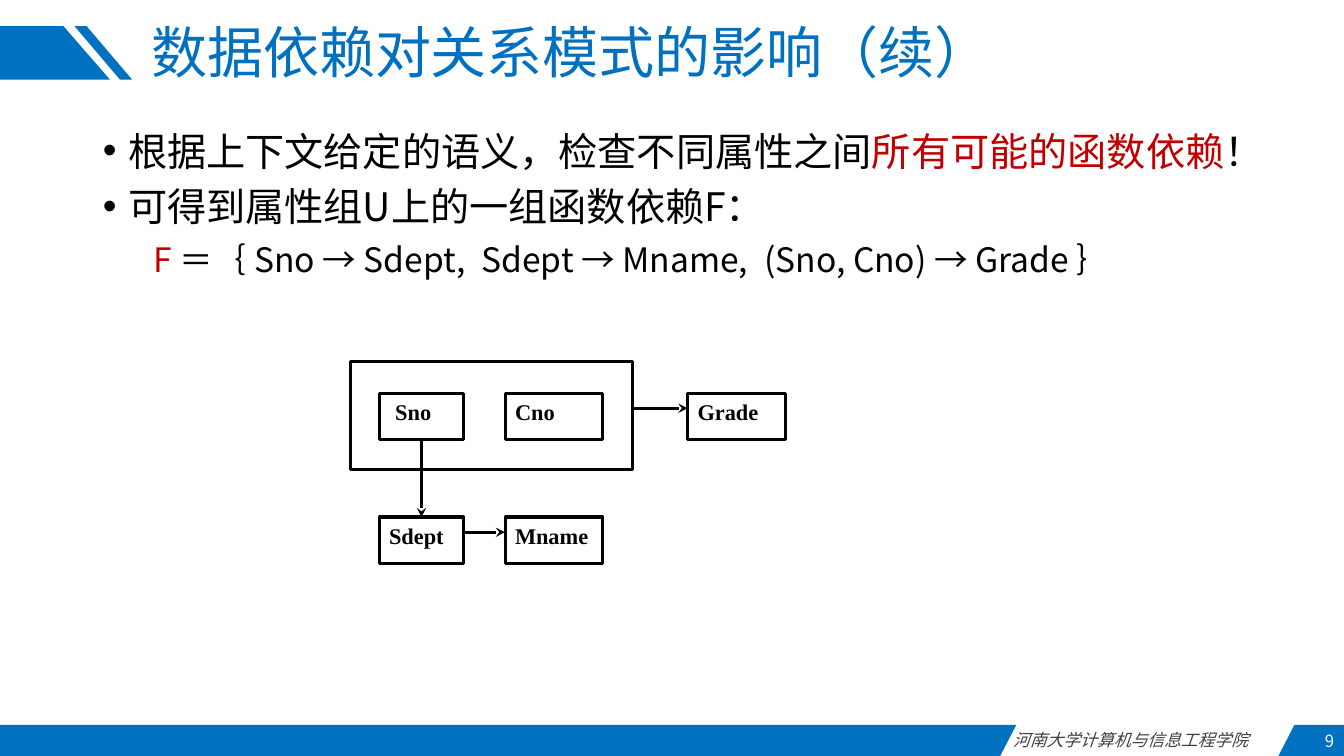
from dataclasses import dataclass
from typing import Any, NamedTuple

from lxml import etree
from pptx import Presentation
from pptx import util as u
from pptx.dml.color import RGBColor
from pptx.enum import shapes, text
from pptx.oxml.ns import qn

# Slide size, colours and fonts
WIDTH, HEIGHT = u.Inches(13.33), u.Inches(7.5)
COLOURS = {"blue": "0070C0", "red": "C00000", "black": "000000",
           "grey": "404040", "white": "FFFFFF"}
SANS, SERIF = "Noto Sans CJK SC", "Times New Roman"
LINE_WIDTH = u.Pt(2.25)


class Area(NamedTuple):
    """A rectangle in percent of the slide's width and height."""
    left: float
    top: float
    width: float
    height: float


class Piece(NamedTuple):
    words: str
    colour: str = "black"
    spacing: int = 0  # extra letter spacing in hundredths of a point


@dataclass
class Line:
    pieces: list[Piece]
    size: int
    margin: float
    indent: float
    bullet: str = ""
    level: int = 0


@dataclass
class Attribute:
    name: str
    area: Area
    inset: float = 0.1


def across(share: float) -> int:
    return round(WIDTH * share / 100)


def down(share: float) -> int:
    return round(HEIGHT * share / 100)


def colour_of(name: str) -> RGBColor:
    return RGBColor.from_string(COLOURS[name])


def apply(target: Any, values: dict[str, Any]) -> None:
    for name, value in values.items():
        setattr(target, name, value)


def place(shape: Any, area: Area) -> None:
    apply(shape, {"left": across(area.left), "top": down(area.top),
                  "width": across(area.width), "height": down(area.height)})


def add_run(paragraph: Any, piece: Piece, size: int, font: str = SANS, **style: bool) -> None:
    run = paragraph.add_run()
    run.text = piece.words
    apply(run.font, {"size": u.Pt(size), "name": font, **style})
    run.font.color.rgb = colour_of(piece.colour)
    properties = run.font._element
    etree.SubElement(properties, qn("a:ea")).set("typeface", font)
    if piece.spacing:
        properties.set("spc", str(piece.spacing))


def add_band(slide: Any, corners: list[tuple[float, float]]) -> None:
    points = [(across(x), down(y)) for x, y in corners]
    builder = slide.shapes.build_freeform(*points[0], scale=1.0)
    builder.add_line_segments(points[1:], close=True)
    band = builder.convert_to_shape()
    band.shadow.inherit = False
    band.fill.solid()
    band.fill.fore_color.rgb = colour_of("blue")
    band.line.fill.background()


def add_label(slide: Any, area: Area, piece: Piece, frame_format: dict[str, Any],
              alignment: Any, **style: bool) -> None:
    box = slide.shapes.add_textbox(0, 0, 0, 0)
    place(box, area)
    apply(box.text_frame, {"word_wrap": True, **frame_format})
    paragraph = box.text_frame.paragraphs[0]
    paragraph.alignment = alignment
    add_run(paragraph, piece, 12, **style)


def add_rectangle(slide: Any, area: Area) -> Any:
    shape = slide.shapes.add_shape(shapes.MSO_SHAPE.RECTANGLE, 0, 0, 0, 0)
    place(shape, area)
    shape.shadow.inherit = False
    shape.fill.background()
    shape.line.color.rgb = colour_of("black")
    shape.line.width = LINE_WIDTH
    return shape


def add_attribute(slide: Any, attribute: Attribute) -> Any:
    shape = add_rectangle(slide, attribute.area)
    apply(shape.text_frame, {"word_wrap": True, "vertical_anchor": text.MSO_ANCHOR.TOP,
                             "margin_left": u.Inches(attribute.inset)})
    paragraph = shape.text_frame.paragraphs[0]
    paragraph.alignment = text.PP_ALIGN.JUSTIFY
    add_run(paragraph, Piece(attribute.name), 16, SERIF, bold=True)
    return shape


def add_arrow(slide: Any, start: tuple[float, float], end: tuple[float, float]) -> Any:
    arrow = slide.shapes.add_connector(
        shapes.MSO_CONNECTOR.STRAIGHT,
        across(start[0]), down(start[1]), across(end[0]), down(end[1]))
    arrow.line.color.rgb = colour_of("black")
    arrow.line.width = LINE_WIDTH
    properties = arrow._element.spPr
    etree.SubElement(properties.find(qn("a:ln")), qn("a:tailEnd")).set("type", "stealth")
    etree.SubElement(properties, qn("a:effectLst"))
    return arrow


def fill_body(body: Any, lines: list[Line]) -> None:
    frame = body.text_frame
    apply(frame, {"word_wrap": True, "auto_size": text.MSO_AUTO_SIZE.NONE,
                  "vertical_anchor": text.MSO_ANCHOR.TOP, "margin_top": u.Inches(0.09)})
    for index, line in enumerate(lines):
        paragraph = frame.add_paragraph() if index else frame.paragraphs[0]
        properties = paragraph._p.get_or_add_pPr()
        properties.set("marL", str(u.Inches(line.margin)))
        properties.set("indent", str(u.Inches(line.indent)))
        if line.bullet:
            etree.SubElement(properties, qn("a:buFont")).set("typeface", "Arial")
            etree.SubElement(properties, qn("a:buChar")).set("char", line.bullet)
        else:
            etree.SubElement(properties, qn("a:buNone"))
        apply(paragraph, {"level": line.level, "line_spacing": 0.82,
                          "alignment": text.PP_ALIGN.LEFT,
                          "space_before": u.Pt(6 if index else 0), "space_after": u.Pt(6)})
        for piece in line.pieces:
            add_run(paragraph, piece, line.size)


# Content
BANDS = [
    [(0, 3.47), (4.73, 3.47), (8.18, 10.53), (0, 10.53)],
    [(6.45, 3.47), (9.83, 10.53), (8.93, 10.53), (5.55, 3.47)],
    [(0, 95.87), (75.62, 95.87), (74.42, 100), (0, 100)],
    [(96.32, 95.87), (100, 95.87), (100, 100), (95.12, 100)],
]
LINES = [
    Line([Piece("根据上下文给定的语义，检查不同属性之间"), Piece("所有可能的函数依赖", "red"),
          Piece("！")], 28, 0.25, -0.25, "•"),
    Line([Piece("可得到属性组U上的一组函数依赖F：")], 28, 0.25, -0.25, "•"),
    Line([Piece("F ", "red"), Piece("＝｛ Sno → Sdept,"), Piece(" ", spacing=600),
          Piece("Sdept → Mname,"), Piece(" ", spacing=600),
          Piece("(Sno, Cno) → Grade ｝")], 24, 0.5, 0, level=1),
]
FIRST, SECOND, THIRD = 28.21, 37.58, 51.16
UPPER, LOWER = 52, 68.4
NARROW, WIDE, TALL = 6.3, 7.28, 6.13
KEY_FRAME = Area(26.11, 47.87, 20.93, 14.27)
ATTRIBUTES = [
    Attribute("Sno", Area(FIRST, UPPER, NARROW, TALL), 0.16),
    Attribute("Cno", Area(SECOND, UPPER, WIDE, TALL)),
    Attribute("Sdept", Area(FIRST, LOWER, NARROW, TALL)),
    Attribute("Mname", Area(SECOND, LOWER, WIDE, TALL)),
    Attribute("Grade", Area(THIRD, UPPER, WIDE, TALL)),
]


def main() -> None:
    presentation = Presentation()
    apply(presentation, {"slide_width": WIDTH, "slide_height": HEIGHT})
    slide = presentation.slides.add_slide(presentation.slide_layouts[1])

    # Title and list
    title, body = slide.placeholders
    place(title, Area(10.5, 1.33, 78.39, 12))
    apply(title.text_frame, {"word_wrap": True, "auto_size": text.MSO_AUTO_SIZE.NONE,
                             "vertical_anchor": text.MSO_ANCHOR.MIDDLE})
    heading = title.text_frame.paragraphs[0]
    apply(heading, {"alignment": text.PP_ALIGN.LEFT, "line_spacing": 0.9})
    add_run(heading, Piece("数据依赖对关系模式的影响（续）", "blue"), 40)
    place(body, Area(6.9, 16.67, 86.27, 76.27))
    fill_body(body, LINES)

    # Header and footer
    for corners in BANDS:
        add_band(slide, corners)
    add_label(slide, Area(74.64, 95.87, 20.48, 4), Piece("河南大学计算机与信息工程学院", "grey"),
              {}, text.PP_ALIGN.JUSTIFY, italic=True)
    add_label(slide, Area(89.57, 96, 10.43, 4), Piece("9", "white"),
              {"vertical_anchor": text.MSO_ANCHOR.MIDDLE}, text.PP_ALIGN.RIGHT)

    # Dependency diagram
    add_rectangle(slide, KEY_FRAME)
    boxes = {attribute.name: add_attribute(slide, attribute) for attribute in ATTRIBUTES}
    middle = FIRST + NARROW / 2
    arrow = add_arrow(slide, (middle, UPPER + TALL), (middle, LOWER))
    arrow.begin_connect(boxes["Sno"], 2)
    arrow.end_connect(boxes["Sdept"], 0)
    add_arrow(slide, (FIRST + NARROW, LOWER + 2), (SECOND, LOWER + 2))
    add_arrow(slide, (KEY_FRAME.left + KEY_FRAME.width, UPPER + 2), (THIRD, UPPER + 2))

    presentation.save("out.pptx")


if __name__ == "__main__":
    main()
